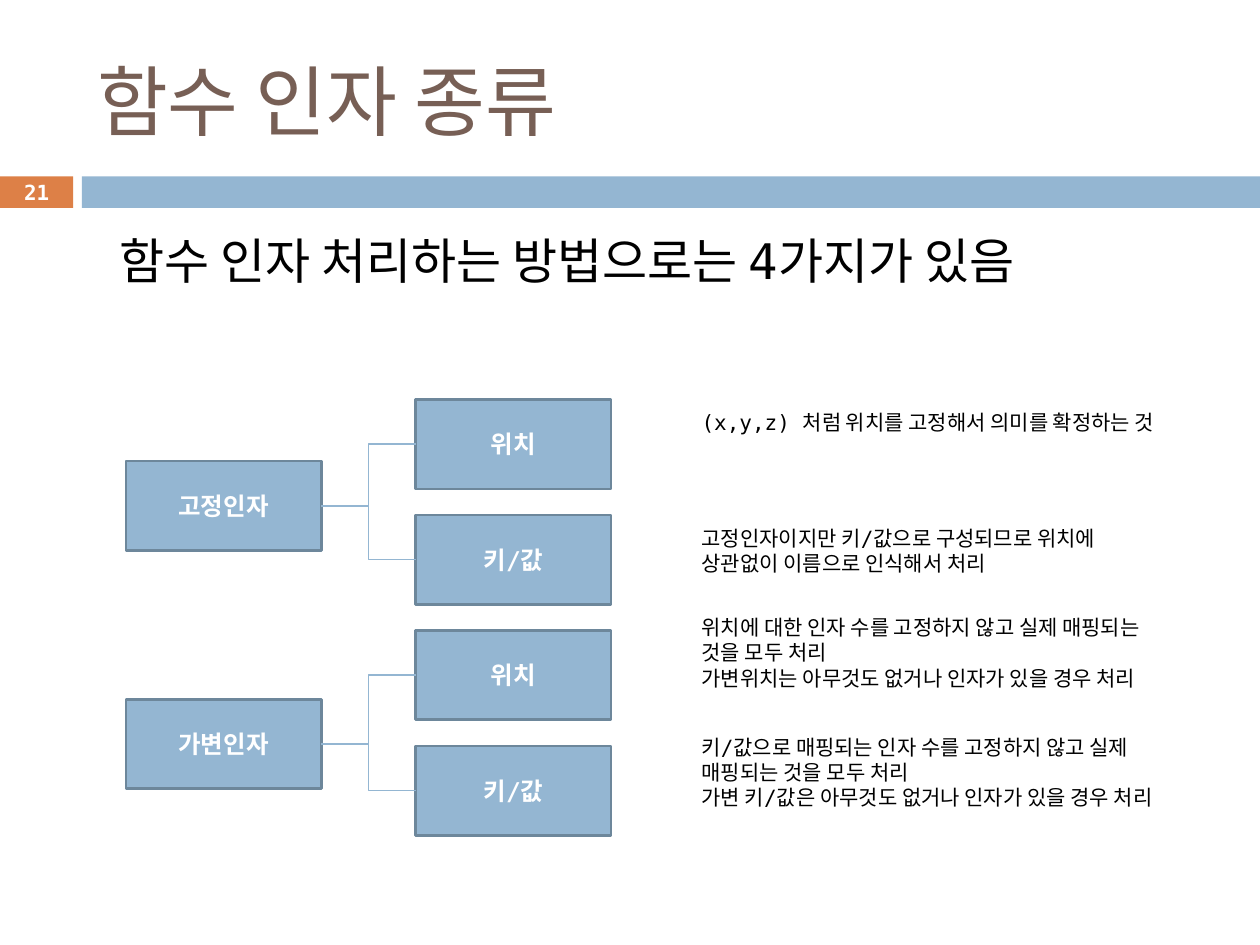
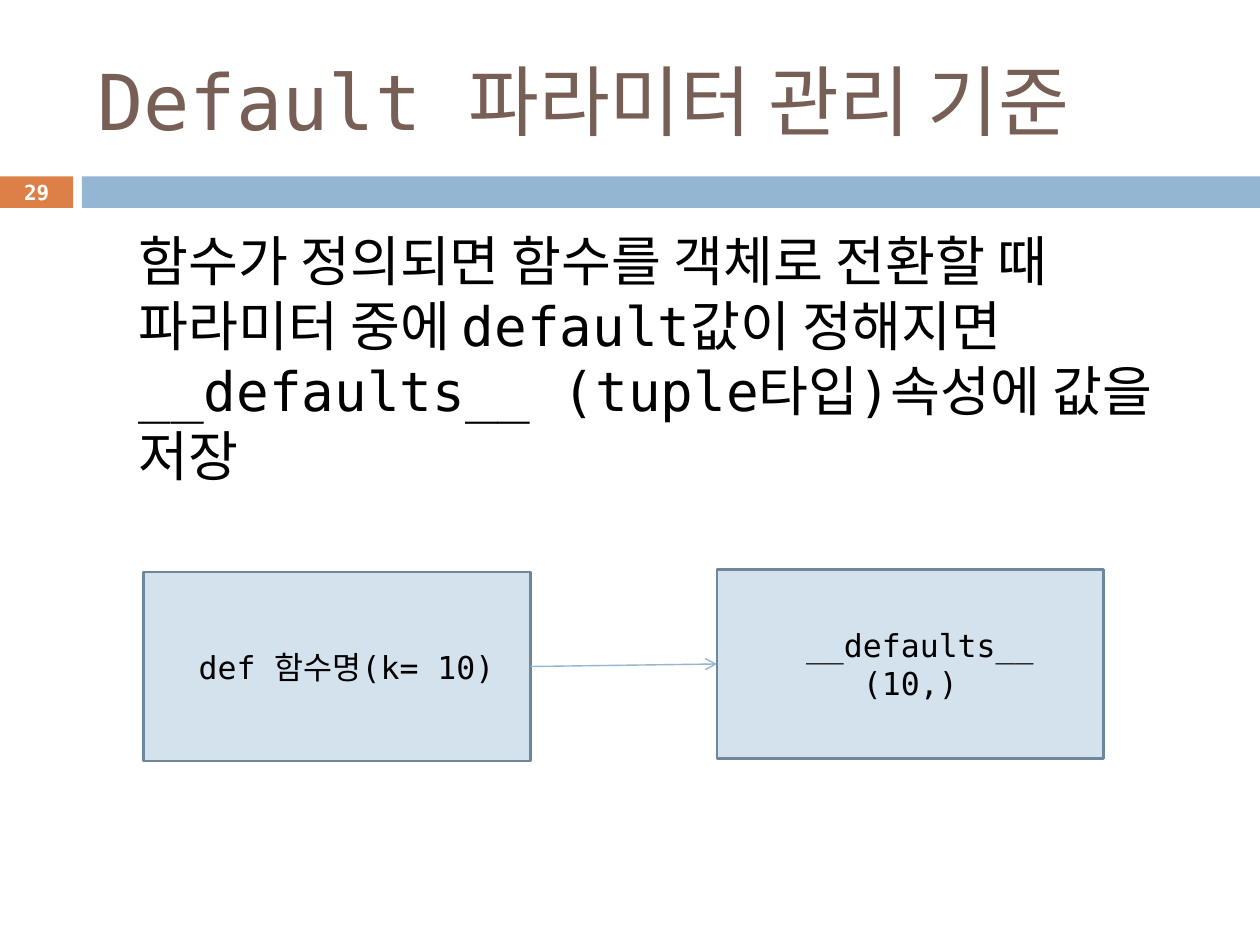
from dataclasses import dataclass

from lxml import etree
from pptx import Presentation
from pptx import util as u
from pptx.dml.color import RGBColor
from pptx.enum import shapes, text
from pptx.oxml.ns import qn


@dataclass(frozen=True)
class Theme:
    font: str = "DejaVu Sans Mono"
    title_color: str = "775F55"
    text_color: str = "000000"
    light_text: str = "FFFFFF"
    blue: str = "94B6D2"
    pale_blue: str = "D4E2ED"
    orange: str = "DD8047"
    outline: str = "6D879B"
    title_size: float = 44
    node_size: float = 14
    note_size: float = 12
    code_size: float = 18
    number_size: float = 11.9
    outline_width: float = 1.5
    connector_width: float = 0.79


THEME = Theme()
TITLE_BOX = (0.67, 0.25, 8.92, 1.08)
NUMBER_BOX = (0, 1.39, 0.58, 0.27)
BANDS = [((0, 1.4, 0.58, 0.25), THEME.orange), ((0.65, 1.4, 9.35, 0.25), THEME.blue)]

ARGUMENT_KINDS = [("고정인자", 0.49), ("가변인자", 2.38)]
BRANCH_NAMES = ["위치", "키/값"]
ARGUMENT_NOTES = [
    (0, 0.5, ["(x,y,z) 처럼 위치를 고정해서 의미를 확정하는 것"]),
    (0.92, 0.5, ["고정인자이지만 키/값으로 구성되므로 위치에 상관없이 이름으로 인식해서 처리"]),
    (1.63, 0.91, ["위치에 대한 인자 수를 고정하지 않고 실제 매핑되는 것을 모두 처리",
                  "가변위치는 아무것도 없거나 인자가 있을 경우 처리"]),
    (2.58, 0.91, ["키/값으로 매핑되는 인자 수를 고정하지 않고 실제 매핑되는 것을 모두 처리",
                  "가변 키/값은 아무것도 없거나 인자가 있을 경우 처리"]),
]


def inches(box):
    return [u.Inches(length) for length in box]


def write(frame, lines, size, color, bold=False, align=text.PP_ALIGN.LEFT,
          anchor=text.MSO_ANCHOR.TOP):
    frame.word_wrap = True
    frame.auto_size = text.MSO_AUTO_SIZE.NONE
    frame.vertical_anchor = anchor
    for index, line in enumerate(lines):
        paragraph = frame.add_paragraph() if index else frame.paragraphs[0]
        paragraph.alignment = align
        run = paragraph.add_run()
        run.text = line
        run.font.name = THEME.font
        run.font.size = u.Pt(size)
        run.font.bold = bold
        run.font.color.rgb = RGBColor.from_string(color)


def place(shape, box):
    shape.left, shape.top, shape.width, shape.height = inches(box)


def add_rectangle(slide, box, fill, outline=None):
    rectangle = slide.shapes.add_shape(shapes.MSO_SHAPE.RECTANGLE, *inches(box))
    rectangle.shadow.inherit = False
    rectangle.fill.solid()
    rectangle.fill.fore_color.rgb = RGBColor.from_string(fill)
    if outline:
        rectangle.line.color.rgb = RGBColor.from_string(outline)
        rectangle.line.width = u.Pt(THEME.outline_width)
    else:
        rectangle.line.fill.background()
    return rectangle


def add_node(slide, box, lines, fill, size, color, bold=False):
    node = add_rectangle(slide, box, fill, THEME.outline)
    write(node.text_frame, lines, size, color, bold,
          text.PP_ALIGN.CENTER, text.MSO_ANCHOR.MIDDLE)
    return node


def add_text(slide, box, lines, size, color, **style):
    text_box = slide.shapes.add_textbox(*inches(box))
    write(text_box.text_frame, lines, size, color, **style)
    return text_box


def join(slide, source, target, kind, arrow=False):
    connector = slide.shapes.add_connector(kind, 0, 0, 0, 0)
    connector.begin_connect(source, 3)
    connector.end_connect(target, 1)
    connector.line.color.rgb = RGBColor.from_string(THEME.blue)
    connector.line.width = u.Pt(THEME.connector_width)
    properties = connector.element.spPr
    if arrow:
        etree.SubElement(properties.find(qn("a:ln")), qn("a:tailEnd"), type="arrow")
    etree.SubElement(properties, qn("a:effectLst"))


def move_bands_to_layout(slide):
    for position, (box, color) in enumerate(BANDS, start=2):
        band = add_rectangle(slide, box, color)
        slide.slide_layout.shapes.element.insert(position, band.element)


def add_content_slide(presentation, title, number, body, body_box, body_size, indent):
    slide = presentation.slides.add_slide(presentation.slide_layouts[1])
    place(slide.shapes.title, TITLE_BOX)
    write(slide.shapes.title.text_frame, [title], THEME.title_size, THEME.title_color,
          anchor=text.MSO_ANCHOR.MIDDLE)
    placeholder = slide.placeholders[1]
    place(placeholder, body_box)
    write(placeholder.text_frame, [body], body_size, THEME.text_color)
    paragraph = placeholder.text_frame.paragraphs[0]
    paragraph.level = 1
    paragraph.space_before = u.Pt(5.5)
    properties = paragraph._p.get_or_add_pPr()
    properties.set("marL", str(u.Inches(indent)))
    properties.set("indent", "0")
    etree.SubElement(properties, qn("a:buNone"))
    number_box = add_text(slide, NUMBER_BOX, [number], THEME.number_size, THEME.light_text,
                          bold=True, align=text.PP_ALIGN.CENTER,
                          anchor=text.MSO_ANCHOR.MIDDLE)
    number_box.text_frame.margin_left = number_box.text_frame.margin_right = 0
    return slide


def add_argument_tree(slide, box):
    left, top, width, height = box
    node_width, node_height = 1.55, 0.71
    branch_left = left + width - node_width
    branch_count = len(ARGUMENT_KINDS) * len(BRANCH_NAMES)
    step = (height - node_height) / (branch_count - 1)
    style = ([THEME.blue, THEME.node_size, THEME.light_text, True])
    for kind_index, (kind, offset) in enumerate(ARGUMENT_KINDS):
        parent = add_node(slide, (left, top + offset, node_width, node_height), [kind], *style)
        for branch_index, name in enumerate(BRANCH_NAMES):
            row = kind_index * len(BRANCH_NAMES) + branch_index
            branch = add_node(slide, (branch_left, top + row * step, node_width, node_height),
                              [name], *style)
            join(slide, parent, branch, shapes.MSO_CONNECTOR.ELBOW)


def add_argument_notes(slide, box):
    left, top, width, _ = box
    for offset, height, lines in ARGUMENT_NOTES:
        add_text(slide, (left, top + offset, width, height), lines,
                 THEME.note_size, THEME.text_color)


def add_default_flow(slide, box):
    left, top, width, height = box
    node_width, node_height = 3.07, 1.5
    style = (THEME.pale_blue, THEME.code_size, THEME.text_color)
    definition = add_node(slide, (left, top + height - node_height, node_width, node_height),
                          [" def 함수명(k= 10)"], *style)
    stored = add_node(slide, (left + width - node_width, top, node_width, node_height),
                      [" __defaults__", "(10,)"], *style)
    join(slide, definition, stored, shapes.MSO_CONNECTOR.STRAIGHT, arrow=True)


def build_argument_kinds(presentation):
    slide = add_content_slide(
        presentation, "함수 인자 종류", "21",
        "함수 인자 처리하는 방법으로는 4가지가 있음", (0.5, 1.78, 9, 1.42), 28, 0.35)
    move_bands_to_layout(slide)
    add_argument_tree(slide, (1, 3.17, 3.85, 3.46))
    add_argument_notes(slide, (5.47, 3.2, 3.86, 3.49))


def build_default_parameters(presentation):
    slide = add_content_slide(
        presentation, "Default 파라미터 관리 기준", "29",
        "함수가 정의되면 함수를 객체로 전환할 때 파라미터 중에 default값이 정해지면 "
        "__defaults__ (tuple타입)속성에 값을 저장", (0.5, 1.75, 9, 2.16), 31, 0.5)
    add_default_flow(slide, (1.14, 4.52, 7.62, 1.52))


def main():
    presentation = Presentation()
    presentation.slide_width, presentation.slide_height = inches((10, 7.5))
    build_argument_kinds(presentation)
    build_default_parameters(presentation)
    presentation.save("out.pptx")


if __name__ == "__main__":
    main()
